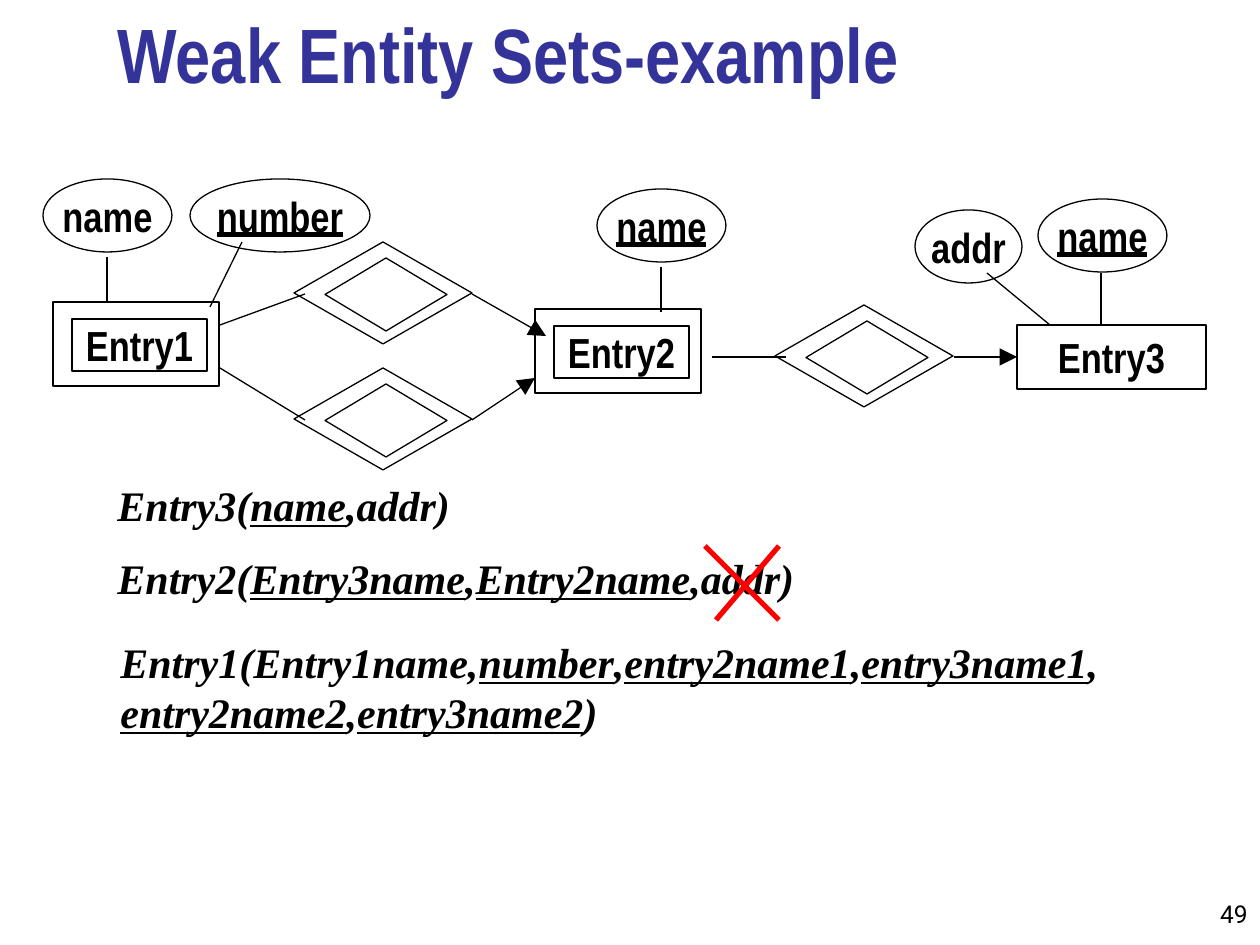
from lxml import etree
from pptx import Presentation
from pptx.dml.color import RGBColor
from pptx.enum.shapes import MSO_CONNECTOR, MSO_SHAPE
from pptx.enum.text import MSO_ANCHOR, PP_ALIGN
from pptx.oxml.ns import qn
from pptx.util import Emu, Pt

PX = 914400 / 126
RECT, OVAL, DIAMOND = MSO_SHAPE.RECTANGLE, MSO_SHAPE.OVAL, MSO_SHAPE.DIAMOND
LEFT, CENTER, RIGHT = PP_ALIGN.LEFT, PP_ALIGN.CENTER, PP_ALIGN.RIGHT
TOP, MIDDLE, BOTTOM = MSO_ANCHOR.TOP, MSO_ANCHOR.MIDDLE, MSO_ANCHOR.BOTTOM
BLACK, BLUE, RED = "000000", "333399", "FF0000"
SANS, SERIF, NUMBER_FONT = "Arial Narrow", "Times New Roman", "Roboto"


def px(*lengths):
    return [Emu(round(length * PX)) for length in lengths]


def write(box, lines, font, size, color=BLACK, align=LEFT, anchor=TOP,
          bold=True, italic=False):
    """Fill a box with one paragraph a line; words between _ are underlined."""
    frame = box.text_frame
    frame.word_wrap = True
    frame.vertical_anchor = anchor
    for index, line in enumerate(lines):
        para = frame.add_paragraph() if index else frame.paragraphs[0]
        para.alignment = align
        if index:
            para.space_before = Pt(13)
        for part, words in enumerate(line.split("_")):
            if not words:
                continue
            span = para.add_run()
            span.text = words
            span.font.name = font
            span.font.size = Pt(size)
            span.font.bold = bold
            span.font.italic = italic
            span.font.underline = part % 2 == 1
            span.font.color.rgb = RGBColor.from_string(color)


deck = Presentation()
deck.slide_width, deck.slide_height = px(1260, 945)
page = deck.slides.add_slide(deck.slide_layouts[6])

# Title, page number and relation schemas
title = page.shapes.add_textbox(*px(105, 10, 1074, 95))
write(title, ["Weak Entity Sets-example"], SANS, 44, BLUE, anchor=BOTTOM)
number = page.shapes.add_textbox(*px(1176, 872, 84, 63))
write(number, ["49"], NUMBER_FONT, 14, align=RIGHT, anchor=BOTTOM, bold=False)
schemas = [
    (105, 473, 1029, 139, ["Entry3(_name_,addr)",
                           "Entry2(_Entry3name_,_Entry2name_,addr)"]),
    (108, 630, 1067, 113, ["Entry1(Entry1name,_number_,_entry2name1_,_entry3name1_, "
                           "_entry2name2_,_entry3name2_)"]),
]
for left, top, width, height, lines in schemas:
    box = page.shapes.add_textbox(*px(left, top, width, height))
    write(box, lines, SERIF, 24, italic=True)

# Entities, attributes and relationships
shapes = [
    (RECT, 1017, 325, 189, 64, "Entry3"),
    (OVAL, 43, 179, 129, 73, "name"),
    (OVAL, 190, 179, 180, 73, "_number_"),
    (OVAL, 597, 189, 129, 73, "_name_"),
    (OVAL, 915, 210, 107, 73, "addr"),
    (OVAL, 1038, 199, 129, 73, "_name_"),
]
for left, top, name in [(53, 302, "Entry1"), (535, 309, "Entry2")]:
    shapes += [(RECT, left, top, 166, 84, ""),
               (RECT, left + 19, top + 17, 135, 52, name)]
for left, top in [(294, 242), (294, 368), (775, 305)]:
    shapes += [(DIAMOND, left, top, 178, 102, ""),
               (DIAMOND, left + 31, top + 16, 122, 73, "")]

for kind, left, top, width, height, label in shapes:
    shape = page.shapes.add_shape(kind, *px(left, top, width, height))
    shape.shadow.inherit = False
    shape.fill.background()
    shape.line.color.rgb = RGBColor.from_string(BLACK)
    shape.line.width = Pt(0.75)
    if label:
        frame = shape.text_frame
        frame.margin_left = frame.margin_right = 0
        frame.margin_top = frame.margin_bottom = 0
        write(shape, [label], SANS, 24, align=CENTER, anchor=MIDDLE)
        frame.word_wrap = kind != OVAL

# Links: start, end, colour, width, arrowhead
links = [
    (107, 302, 107, 257, BLACK, 0.75, False),
    (242, 242, 210, 307, BLACK, 0.75, False),
    (661, 312, 661, 267, BLACK, 0.75, False),
    (987, 273, 1050, 325, BLACK, 0.75, False),
    (1101, 273, 1101, 325, BLACK, 0.75, False),
    (220, 325, 305, 294, BLACK, 0.75, False),
    (220, 368, 305, 420, BLACK, 0.75, False),
    (712, 357, 786, 357, BLACK, 0.75, False),
    (472, 294, 546, 336, BLACK, 0.75, True),
    (472, 420, 535, 378, BLACK, 0.75, True),
    (954, 357, 1017, 357, BLACK, 0.75, True),
    (705, 546, 779, 620, RED, 3, False),
    (779, 546, 716, 620, RED, 3, False),
]
for x1, y1, x2, y2, color, width, arrow in links:
    link = page.shapes.add_connector(MSO_CONNECTOR.STRAIGHT, *px(x1, y1, x2, y2))
    link.line.color.rgb = RGBColor.from_string(color)
    link.line.width = Pt(width)
    if arrow:
        etree.SubElement(link.line._get_or_add_ln(), qn("a:tailEnd"),
                         type="triangle", w="lg", len="lg")
    etree.SubElement(link._element.spPr, qn("a:effectLst"))

deck.save("out.pptx")
